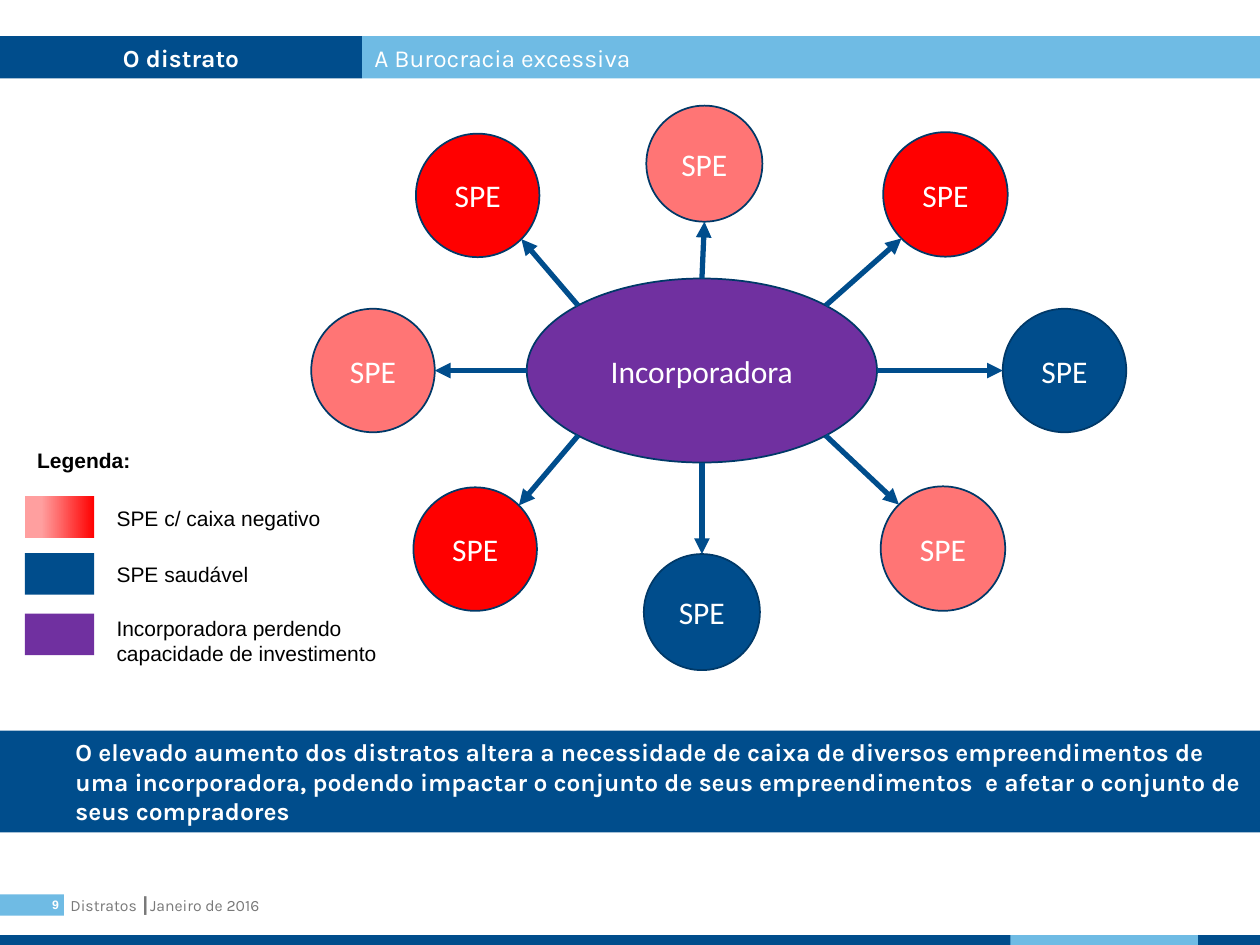
from dataclasses import dataclass
from math import sqrt

from lxml.etree import SubElement
from pptx import Presentation
from pptx.dml.color import RGBColor
from pptx.enum.shapes import MSO_CONNECTOR, MSO_SHAPE
from pptx.enum.text import MSO_ANCHOR, MSO_AUTO_SIZE, PP_ALIGN
from pptx.oxml.ns import qn
from pptx.util import Cm, Pt

NAVY, SKY, PURPLE = "004D8C", "6FBBE4", "7030A0"
RED, PINK, OUTLINE = "FF0000", "FF7575", "003968"
WHITE, BLACK, GREY = "FFFFFF", "000000", "797979"
INSETS = (0.25, 0.13, 0.25, 0.13)


@dataclass
class Style:
    size: float
    font: str
    color: str = WHITE
    bold: bool = False
    align: PP_ALIGN = PP_ALIGN.LEFT
    anchor: MSO_ANCHOR = MSO_ANCHOR.TOP
    insets: tuple = INSETS


@dataclass
class Oval:
    x: float  # centre
    y: float
    width: float
    height: float
    color: str
    text: str = "SPE"

    def site(self, dx: int, dy: int) -> tuple:
        """Point on the outline in one of the eight compass directions."""
        reach = 2 * sqrt(dx * dx + dy * dy)
        return self.x + dx * self.width / reach, self.y + dy * self.height / reach


@dataclass
class LegendRow:
    swatch_top: float
    text_top: float
    width: float
    height: float
    color: str
    text: str


def rgb(color: str) -> RGBColor:
    return RGBColor.from_string(color)


def place(shape, left: float, top: float, width: float, height: float) -> None:
    shape.left, shape.top = Cm(left), Cm(top)
    shape.width, shape.height = Cm(width), Cm(height)


def fill(shape, color: str) -> None:
    shape.fill.solid()
    shape.fill.fore_color.rgb = rgb(color)


def write(shape, text: str, style: Style):
    frame = shape.text_frame
    frame.word_wrap = True
    frame.auto_size = MSO_AUTO_SIZE.NONE
    frame.vertical_anchor = style.anchor
    (frame.margin_left, frame.margin_top,
     frame.margin_right, frame.margin_bottom) = map(Cm, style.insets)
    para = frame.paragraphs[0]
    para.alignment = style.align
    para.space_before = Pt(0)
    span = para.add_run()
    span.text = text
    span.font.size, span.font.name = Pt(style.size), style.font
    span.font.bold = style.bold
    span.font.color.rgb = rgb(style.color)
    return para


def add_block(page, left, top, width, height, color, kind=MSO_SHAPE.RECTANGLE):
    block = page.shapes.add_shape(kind, Cm(left), Cm(top), Cm(width), Cm(height))
    block.shadow.inherit = False
    fill(block, color)
    block.line.fill.background()
    return block


def add_label(page, left, top, width, height, text: str, style: Style) -> None:
    box = page.shapes.add_textbox(Cm(left), Cm(top), Cm(width), Cm(height))
    write(box, text, style)


def add_oval(page, oval: Oval) -> None:
    shape = add_block(page, oval.x - oval.width / 2, oval.y - oval.height / 2,
                      oval.width, oval.height, oval.color, MSO_SHAPE.OVAL)
    shape.line.color.rgb = rgb(OUTLINE)
    shape.line.width = Pt(1)
    write(shape, oval.text, Style(18, "Calibri", align=PP_ALIGN.CENTER,
                                  anchor=MSO_ANCHOR.MIDDLE))


def add_arrow(page, start: tuple, end: tuple) -> None:
    arrow = page.shapes.add_connector(MSO_CONNECTOR.STRAIGHT,
                                      *map(Cm, start), *map(Cm, end))
    arrow.line.color.rgb = rgb(NAVY)
    arrow.line.width = Pt(3)
    SubElement(arrow.line._get_or_add_ln(), qn("a:tailEnd"), type="triangle")
    SubElement(arrow._element.spPr, qn("a:effectLst"))


HUB = Oval(14.15, 7.47, 7.06, 3.71, PURPLE, "Incorporadora")
# Keyed by the direction from the hub
COMPANIES = {
    (-1, 1): Oval(9.58, 11.07, 2.49, 2.49, RED),
    (0, 1): Oval(14.15, 12.34, 2.34, 2.34, NAVY),
    (1, 1): Oval(19.01, 11.06, 2.51, 2.51, PINK),
    (-1, -1): Oval(9.63, 3.94, 2.49, 2.49, RED),
    (0, -1): Oval(14.2, 3.3, 2.34, 2.34, PINK),
    (1, -1): Oval(19.06, 3.92, 2.51, 2.51, RED),
    (-1, 0): Oval(7.52, 7.47, 2.49, 2.49, PINK),
    (1, 0): Oval(21.46, 7.47, 2.49, 2.49, NAVY),
}
LEGEND = [
    LegendRow(10, 10.06, 4.8, 0.76, RED, "SPE c/ caixa negativo"),
    LegendRow(11.15, 11.2, 4.8, 0.76, NAVY, "SPE saudável"),
    LegendRow(12.37, 12.27, 6, 1.27, PURPLE,
              "Incorporadora perdendo capacidade de investimento"),
]
MESSAGE = ("O elevado aumento dos distratos altera a necessidade de caixa de diversos "
           "empreendimentos de uma incorporadora, podendo impactar o conjunto de seus "
           "empreendimentos  e afetar o conjunto de seus compradores")


def main() -> None:
    deck = Presentation()
    deck.slide_width, deck.slide_height = Cm(25.4), Cm(19.05)
    page = deck.slides.add_slide(deck.slide_layouts[1])

    # Footer
    add_label(page, 1.17, 17.93, 18.54, 0.64, "Distratos ┃Janeiro de 2016",
              Style(9, "Karla", GREY))
    number = add_block(page, 0, 18.03, 1.29, 0.43, SKY)
    write(number, "9", Style(7, "Arial", bold=True, align=PP_ALIGN.RIGHT,
                             anchor=MSO_ANCHOR.MIDDLE, insets=(0, 0, 0.1, 0)))
    add_block(page, 0, 18.85, 25.4, 0.2, NAVY)
    add_block(page, 20.37, 18.85, 3.78, 0.2, SKY)

    # Header
    title = page.shapes.title
    place(title, 0, 0.73, 7.3, 0.85)
    fill(title, NAVY)
    write(title, "O distrato", Style(14, "Karla", bold=True, align=PP_ALIGN.CENTER,
                                     insets=(0.1, 0.13, 0.1, 0.13)))
    subtitle = add_block(page, 7.3, 0.73, 18.1, 0.85, SKY)
    write(subtitle, "A Burocracia excessiva", Style(14, "Karla"))

    # Developer and its companies
    add_oval(page, HUB)
    for (dx, dy), company in COMPANIES.items():
        add_oval(page, company)
        add_arrow(page, HUB.site(dx, dy), company.site(-dx, -dy))

    # Message banner
    banner = page.placeholders[1]
    place(banner, 0, 14.73, 25.4, 2.05)
    fill(banner, NAVY)
    para = write(banner, MESSAGE, Style(14, "Karla", bold=True))
    properties = para._p.get_or_add_pPr()
    properties.set("marL", str(Cm(1.27)))
    properties.set("indent", "0")
    SubElement(properties, qn("a:buNone"))

    # Legend
    add_label(page, 0.5, 8.89, 4.8, 0.76, "Legenda:", Style(12, "Arial", BLACK, bold=True))
    for row in LEGEND:
        swatch = add_block(page, 0.5, row.swatch_top, 1.4, 0.84, row.color)
        if row.color == RED:
            swatch.fill.gradient()
            swatch.fill.gradient_angle = 0
            stops = zip(swatch.fill.gradient_stops, (0.24, 1), ("FF9F9F", RED))
            for stop, position, color in stops:
                stop.position = position
                stop.color.rgb = rgb(color)
        add_label(page, 2.1, row.text_top, row.width, row.height, row.text,
                  Style(12, "Arial", BLACK))

    deck.save("out.pptx")


if __name__ == "__main__":
    main()
